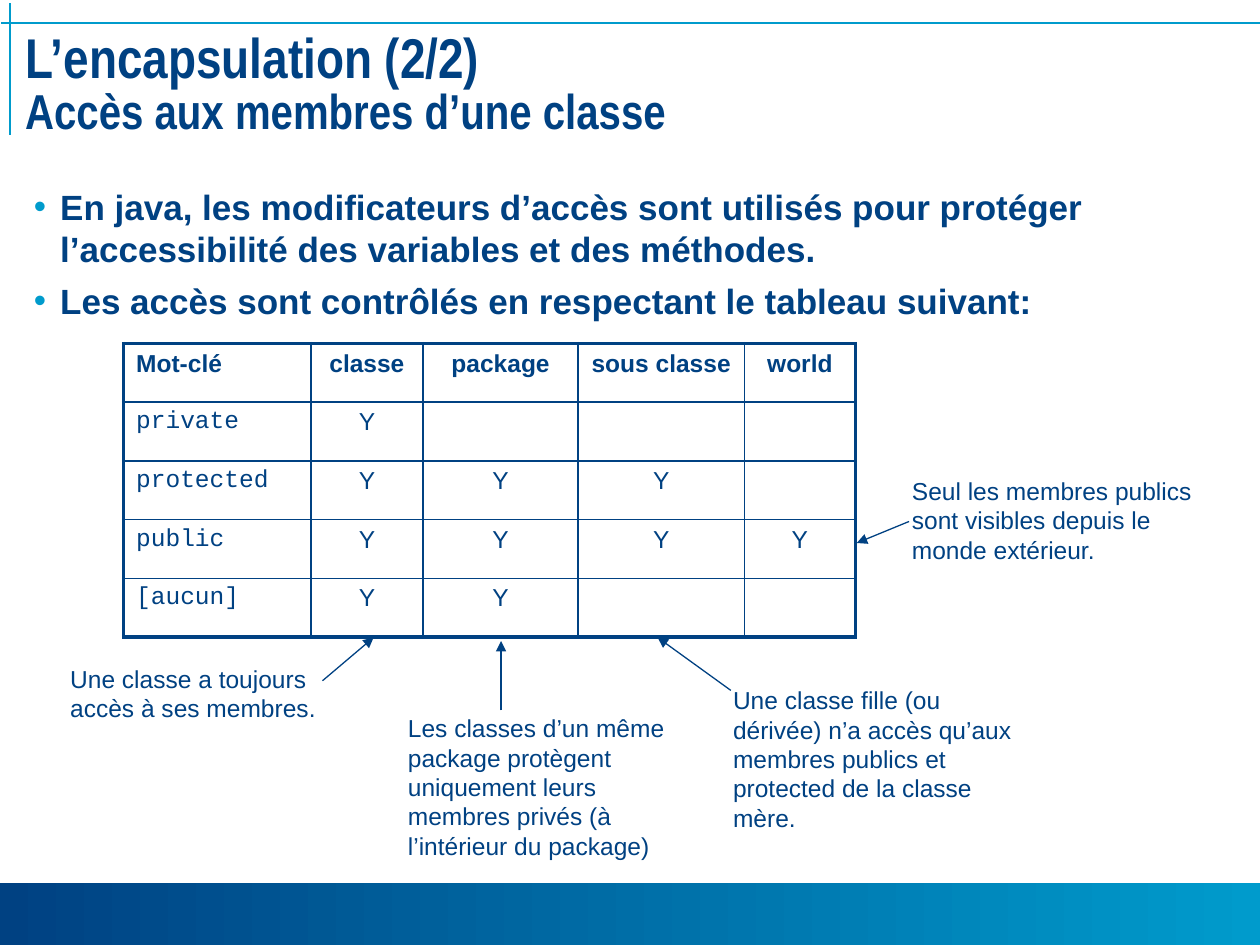
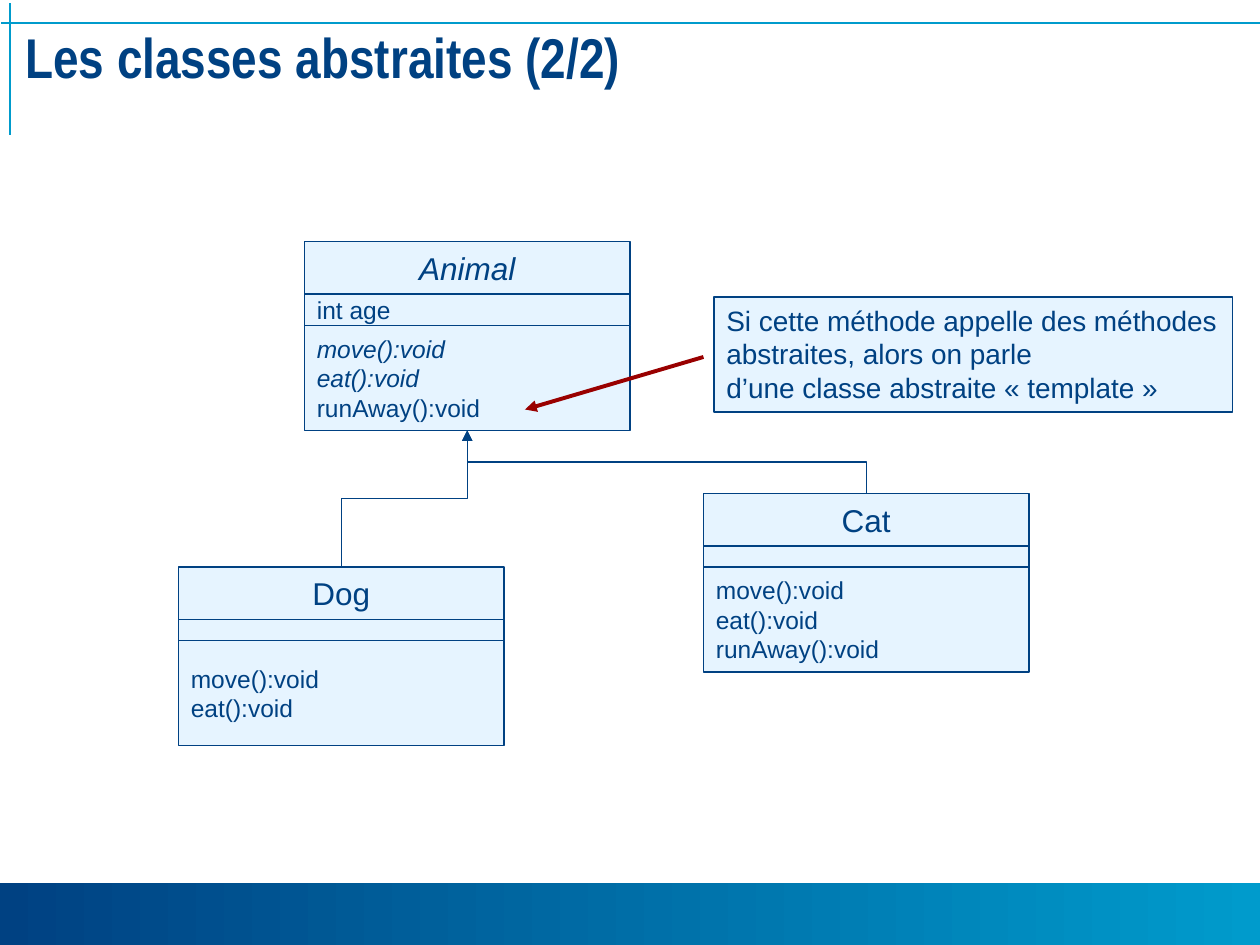
from dataclasses import dataclass
from lxml.etree import SubElement
from pptx import Presentation
from pptx.dml.color import RGBColor
from pptx.enum.shapes import MSO_CONNECTOR as CONN, MSO_SHAPE as SHAPE
from pptx.enum.text import MSO_ANCHOR as ANCHOR, MSO_AUTO_SIZE as AUTO, PP_ALIGN as ALIGN
from pptx.oxml.ns import qn
from pptx.util import Pt

COLORS = {"navy": "004182", "cyan": "009BCC", "pale": "E6F4FF", "red": "990000"}
SANS, NARROW, MONO = "Arial", "Arial Narrow", "Courier New"
SLIDE_W, SLIDE_H = 720, 540
BAND_TOP = 504.7
CLASS_W, NAME_H, METHODS_H = 186, 30, 60


@dataclass
class Box:
    x: float
    y: float
    w: float
    h: float

    def pts(self) -> list:
        return [Pt(v) for v in (self.x, self.y, self.w, self.h)]


@dataclass
class Line:
    text: str
    italic: bool = False


@dataclass
class Note:
    box: Box
    text: str


@dataclass
class Arrow:
    x1: float
    y1: float
    x2: float
    y2: float
    color: str = "navy"
    width: float = 0.75


@dataclass
class UmlClass:
    name: Line
    x: float
    y: float
    attributes: list
    attributes_h: float
    methods: list

    @property
    def middle(self) -> float:
        return self.x + CLASS_W / 2

    @property
    def bottom(self) -> float:
        return self.y + NAME_H + self.attributes_h + METHODS_H


NOTES = [
    Note(Box(33, 375.8, 179.3, 41), "Une classe a toujours accès à ses membres."),
    Note(Box(514, 268.5, 179.3, 57.6),
         "Seul les membres publics sont visibles depuis le monde extérieur."),
    Note(Box(226, 404, 179.3, 90.7),
         "Les classes d’un même package protègent uniquement leurs membres privés "
         "(à l’intérieur du package)"),
    Note(Box(411.8, 388, 179.3, 90.7),
         "Une classe fille (ou dérivée) n’a accès qu’aux membres publics et protected "
         "de la classe mère."),
]
NOTE_ARROWS = [
    Arrow(184.3, 389, 213.5, 364.3),
    Arrow(286.3, 406, 286.3, 366.3),
    Arrow(417.6, 394.5, 375.8, 364.3),
    Arrow(519.5, 298, 489.6, 310.3),
]
BULLETS = [
    "En java, les modificateurs d’accès sont utilisés pour protéger "
    "l’accessibilité des variables et des méthodes.",
    "Les accès sont contrôlés en respectant le tableau suivant:",
]
ACCESS = [
    ["Mot-clé", "classe", "package", "sous classe", "world"],
    ["private", "Y", "", "", ""],
    ["protected", "Y", "Y", "Y", ""],
    ["public", "Y", "Y", "Y", "Y"],
    ["[aucun]", "Y", "Y", "", ""],
]
ACCESS_COLS = [107, 64.2, 88.6, 95, 63.5]
ACCESS_ROW_H = 33.55

ANIMAL = UmlClass(Line("Animal", True), 174, 138, [Line("int age")], 18,
                  [Line("move():void", True), Line("eat():void", True), Line("runAway():void")])
DOG = UmlClass(Line("Dog"), 102, 324, [], 12, [Line("move():void"), Line("eat():void")])
CAT = UmlClass(Line("Cat"), 402, 282, [], 12,
               [Line("move():void"), Line("eat():void"), Line("runAway():void")])
TEMPLATE_NOTE = [
    Line("Si cette méthode appelle des méthodes"),
    Line("abstraites, alors on parle"),
    Line("d’une classe abstraite «\u00a0template\u00a0»"),
]


def rgb(name: str) -> RGBColor:
    return RGBColor.from_string(COLORS[name])


def add_run(p, text: str, size: float, font: str = SANS, bold: bool = False,
            italic: bool = False) -> None:
    r = p.add_run()
    r.text = text
    r.font.size, r.font.name = Pt(size), font
    r.font.bold, r.font.italic = bold, italic
    r.font.color.rgb = rgb("navy")


def add_lines(tf, lines: list, size: float, align=ALIGN.LEFT) -> None:
    for i, line in enumerate(lines):
        p = tf.add_paragraph() if i else tf.paragraphs[0]
        p.alignment = align
        add_run(p, line.text, size, italic=line.italic)


def style_line(c, color: str, width: float, head: bool) -> None:
    c.line.color.rgb = rgb(color)
    c.line.width = Pt(width)
    sp_pr = c._element.spPr
    if head:
        SubElement(sp_pr.find(qn("a:ln")), qn("a:tailEnd"), type="triangle")
    SubElement(sp_pr, qn("a:effectLst"))


def add_line(s, a: Arrow, head: bool = True) -> None:
    c = s.shapes.add_connector(CONN.STRAIGHT, Pt(a.x1), Pt(a.y1), Pt(a.x2), Pt(a.y2))
    style_line(c, a.color, a.width, head)


def add_inheritance(s, child: UmlClass, parent: UmlClass) -> None:
    dx, dy = parent.middle - child.middle, child.y - parent.bottom
    mid_x, mid_y = child.middle + dx / 2, child.y - dy / 2
    c = s.shapes.add_connector(CONN.ELBOW, Pt(mid_x - dy / 2), Pt(mid_y - dx / 2),
                               Pt(mid_x + dy / 2), Pt(mid_y + dx / 2))
    c._element.spPr.find(qn("a:xfrm")).set("rot", str(270 * 60000))
    style_line(c, "navy", 0.75, True)


def add_box(s, box: Box, lines: list, size: float, align=ALIGN.LEFT, anchor=ANCHOR.MIDDLE):
    sp = s.shapes.add_shape(SHAPE.RECTANGLE, *box.pts())
    sp.shadow.inherit = False
    sp.fill.solid()
    sp.fill.fore_color.rgb = rgb("pale")
    sp.line.color.rgb = rgb("navy")
    sp.line.width = Pt(0.75)
    tf = sp.text_frame
    tf.word_wrap = False
    tf.vertical_anchor = anchor
    add_lines(tf, lines, size, align)
    return sp


def add_class(s, cls: UmlClass) -> None:
    y = cls.y
    for lines, h, size, align in (([cls.name], NAME_H, 18, ALIGN.CENTER),
                                  (cls.attributes, cls.attributes_h, 14, ALIGN.LEFT),
                                  (cls.methods, METHODS_H, 14, ALIGN.LEFT)):
        add_box(s, Box(cls.x, y, CLASS_W, h), lines, size, align)
        y += h


def add_note(s, note: Note) -> None:
    tf = s.shapes.add_textbox(*note.box.pts()).text_frame
    tf.word_wrap = True
    tf.auto_size = AUTO.SHAPE_TO_FIT_TEXT
    add_lines(tf, [Line(note.text)], 14)


def place(sp, box: Box):
    sp.left, sp.top, sp.width, sp.height = box.pts()
    tf = sp.text_frame
    tf.word_wrap = True
    tf.auto_size = AUTO.NONE
    tf.vertical_anchor = ANCHOR.TOP
    return tf


def add_base(prs, layout: int, title: str, subtitle: str = ""):
    s = prs.slides.add_slide(prs.slide_layouts[layout])
    band = s.shapes.add_shape(SHAPE.RECTANGLE,
                              *Box(0, BAND_TOP, SLIDE_W, SLIDE_H - BAND_TOP).pts())
    band.shadow.inherit = False
    band.line.fill.background()
    band.fill.gradient()
    band.fill.gradient_angle = 0
    for stop, color, position in zip(band.fill.gradient_stops, ("navy", "cyan"), (0, 1)):
        stop.color.rgb = rgb(color)
        stop.position = position
    add_line(s, Arrow(0.7, 13, SLIDE_W, 13, "cyan", 1), head=False)
    add_line(s, Arrow(5.8, 2, 5.8, 77, "cyan", 1), head=False)

    tf = place(s.shapes.title, Box(7.2, 15.8, 707.8, 72.7))
    tf.margin_left = tf.margin_right = Pt(7.2)
    tf.margin_top = tf.margin_bottom = Pt(2.9)
    p = tf.paragraphs[0]
    p.alignment = ALIGN.LEFT
    p.line_spacing = 0.85
    add_run(p, title, 32, NARROW, bold=True)
    if subtitle:
        p.add_line_break()
        add_run(p, subtitle, 28, NARROW, bold=True)
    return s


def fill_bullets(sp) -> None:
    tf = place(sp, Box(12.2, 102.2, 696.2, 94.3))
    for i, text in enumerate(BULLETS):
        p = tf.add_paragraph() if i else tf.paragraphs[0]
        p_pr = p._p.get_or_add_pPr()
        p_pr.set("marL", str(Pt(15)))
        p_pr.set("indent", str(-Pt(15)))
        SubElement(SubElement(p_pr, qn("a:buClr")), qn("a:srgbClr"), val=COLORS["cyan"])
        SubElement(p_pr, qn("a:buFont"), typeface=SANS)
        SubElement(p_pr, qn("a:buChar"), char="•")
        p.space_before = Pt(6 if i else 0)
        add_run(p, text, 20, bold=True)


def set_borders(cell, outer: dict) -> None:
    tc_pr = cell._tc.get_or_add_tcPr()
    for side in ("L", "R", "T", "B"):
        width = 2.25 if outer[side] else 1
        ln = SubElement(tc_pr, qn(f"a:ln{side}"), w=str(Pt(width)))
        SubElement(SubElement(ln, qn("a:solidFill")), qn("a:srgbClr"), val=COLORS["navy"])


def add_access_table(s) -> None:
    rows, cols = len(ACCESS), len(ACCESS_COLS)
    box = Box(70.6, 196.3, sum(ACCESS_COLS), rows * ACCESS_ROW_H)
    table = s.shapes.add_table(rows, cols, *box.pts()).table
    table.first_row = table.horz_banding = False
    for col, width in zip(table.columns, ACCESS_COLS):
        col.width = Pt(width)
    for i, texts in enumerate(ACCESS):
        table.rows[i].height = Pt(ACCESS_ROW_H)
        for j, text in enumerate(texts):
            cell = table.cell(i, j)
            set_borders(cell, {"L": j == 0, "R": j == cols - 1, "T": i == 0, "B": i == rows - 1})
            cell.fill.background()
            p = cell.text_frame.paragraphs[0]
            p.alignment = ALIGN.CENTER if j else ALIGN.LEFT
            if text:
                add_run(p, text, 14, MONO if i and not j else SANS, bold=i == 0)


def build_access(prs) -> None:
    s = add_base(prs, 1, "L’encapsulation (2/2)", "Accès aux membres d’une classe")
    fill_bullets(s.placeholders[1])
    add_access_table(s)
    for note in NOTES:
        add_note(s, note)
    for arrow in NOTE_ARROWS:
        add_line(s, arrow)


def build_abstract(prs) -> None:
    s = add_base(prs, 5, "Les classes abstraites (2/2)")
    for cls in (ANIMAL, DOG, CAT):
        add_class(s, cls)
    for child in (DOG, CAT):
        add_inheritance(s, child, ANIMAL)
    sp = add_box(s, Box(408, 169.7, 296.2, 65.8), TEMPLATE_NOTE, 16, anchor=ANCHOR.TOP)
    sp.text_frame.auto_size = AUTO.SHAPE_TO_FIT_TEXT
    add_line(s, Arrow(402, 204, 300, 234, "red", 2.25))


def main() -> None:
    prs = Presentation()
    prs.slide_width, prs.slide_height = Pt(SLIDE_W), Pt(SLIDE_H)
    build_access(prs)
    build_abstract(prs)
    prs.save("out.pptx")


if __name__ == "__main__":
    main()
